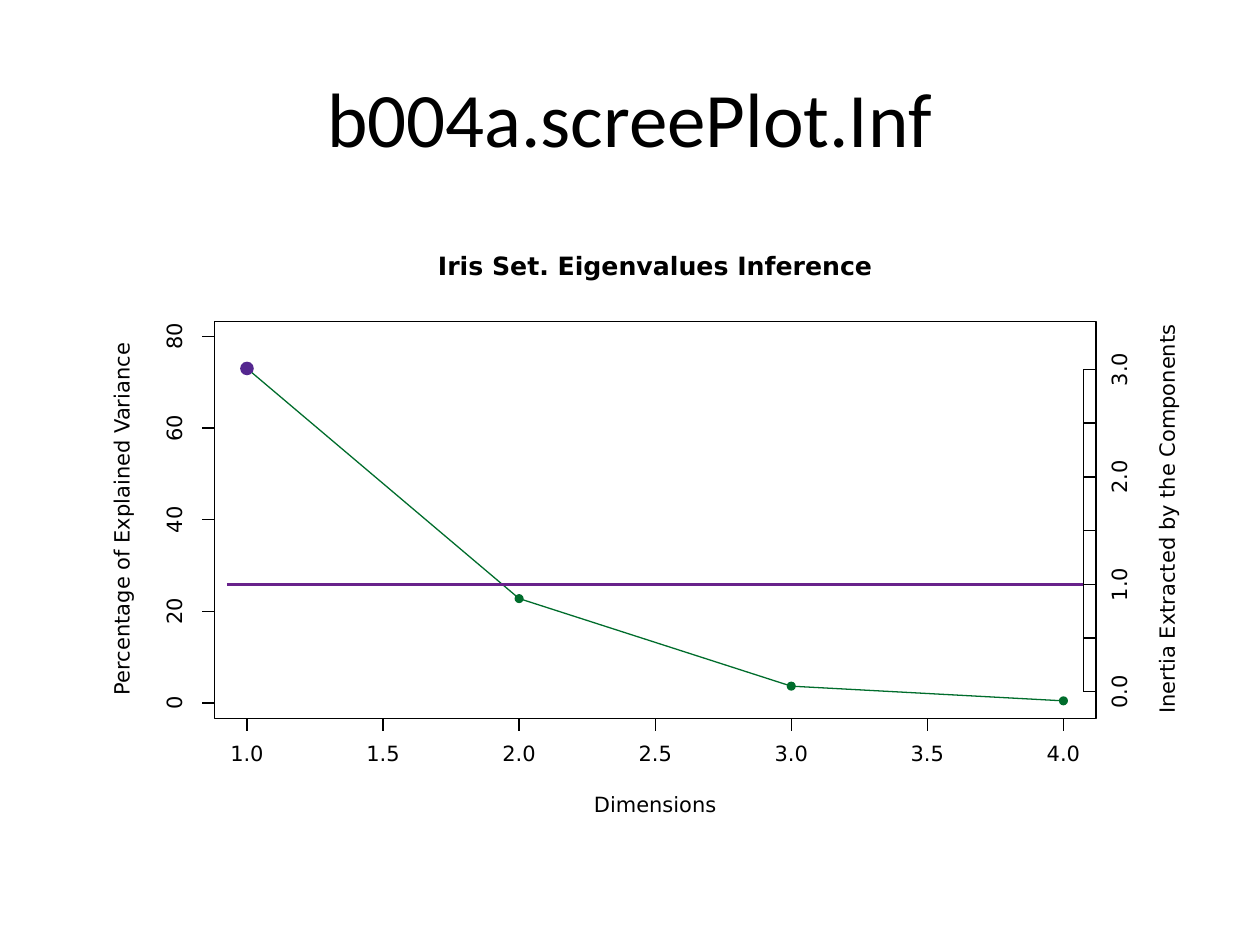
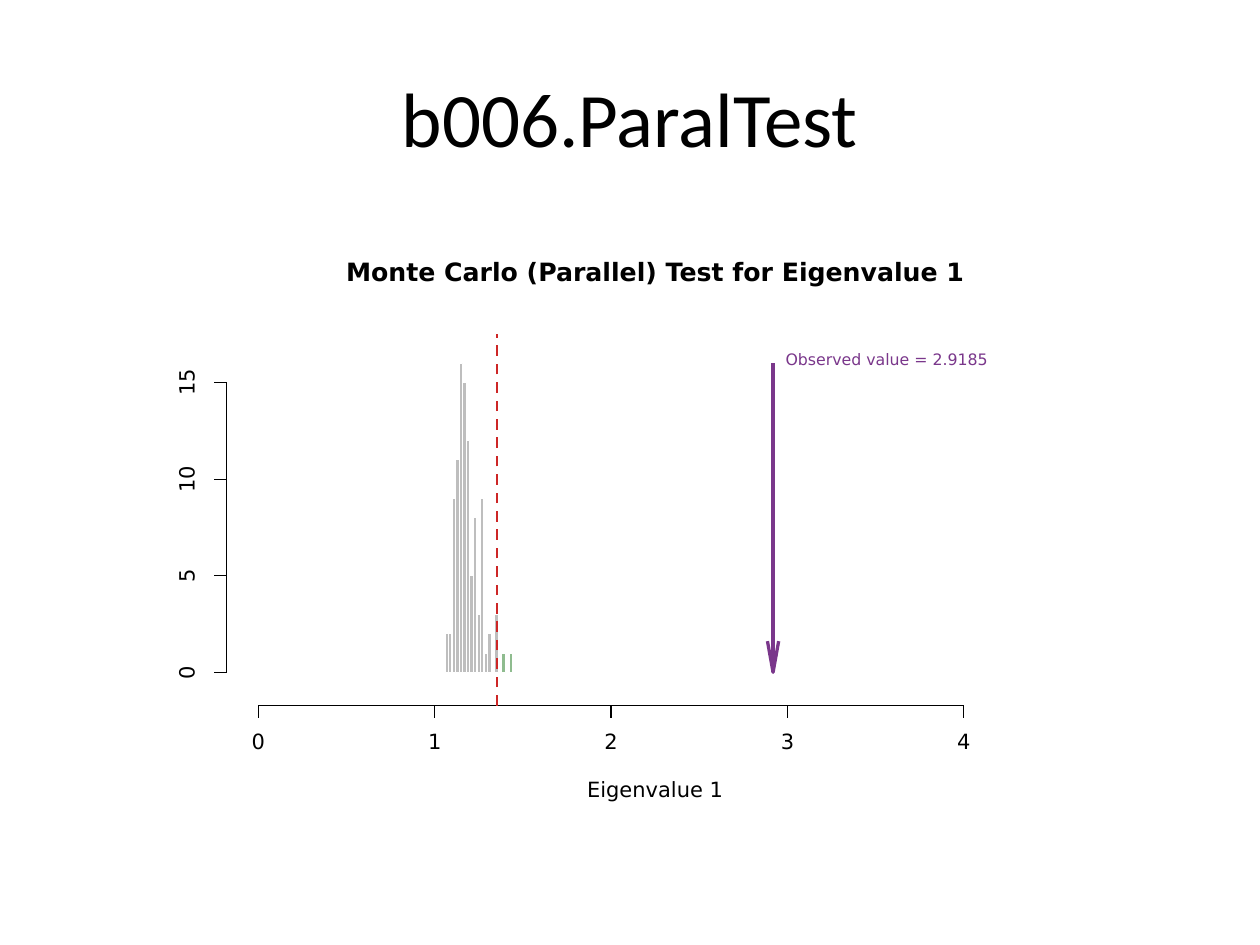
"""Two statistics slides: a scree plot and a Monte Carlo histogram."""
from lxml import etree
from pptx import Presentation
from pptx import util as u
from pptx.dml.color import RGBColor
from pptx.enum import dml, shapes, text

BLACK, WHITE = "000000", "FFFFFF"
GREEN, INDIGO, VIOLET = "006D2C", "54278F", "68228B"
GREY, SAGE, PURPLE, RED = "BEBEBE", "8FBC8F", "7A378B", "CD2626"
TICK = 7.2
CAPTION_X = 374.4
DRAWING = "http://schemas.openxmlformats.org/drawingml/2006/main"


def colour(value):
    """Turn a hex string into a colour."""
    return RGBColor.from_string(value)


def apply(target, **values):
    """Set several attributes of one object."""
    for name, value in values.items():
        setattr(target, name, value)


def scale(start, unit):
    """Return the rule that maps a data value to a position."""
    return lambda value: start + value * unit


def style_line(line, paint, width=0.75):
    """Give a line its colour and width."""
    line.color.rgb = colour(paint)
    line.width = u.Pt(width)


def add_text(page, words, centre, size, extent, paint=BLACK, font="DejaVu Sans",
             turn=0, bold=False, spacing=None):
    """Write one centred line of text around a point."""
    (x, y), (width, height) = centre, extent
    box = page.shapes.add_textbox(u.Pt(x - width / 2), u.Pt(y - height / 2),
                                  u.Pt(width), u.Pt(height))
    box.rotation = turn
    apply(box.text_frame, word_wrap=False, vertical_anchor=text.MSO_ANCHOR.MIDDLE,
          margin_left=0, margin_right=0, margin_top=0, margin_bottom=0)
    para = box.text_frame.paragraphs[0]
    para.alignment = text.PP_ALIGN.CENTER
    if spacing:
        para.line_spacing = u.Pt(spacing)
    span = para.add_run()
    span.text = words
    apply(span.font, name=font, size=u.Pt(size), bold=bold)
    span.font.color.rgb = colour(paint)


def add_label(page, words, centre, width, size=12, **values):
    """Write a plot label with exact line spacing."""
    add_text(page, words, centre, size, (width, 10), spacing=size, **values)


def add_line(page, start, end, paint=BLACK, width=0.75, dash=None):
    """Draw a straight line between two points."""
    ends = [u.Pt(number) for number in (*start, *end)]
    line = page.shapes.add_connector(shapes.MSO_CONNECTOR.STRAIGHT, *ends)
    style_line(line.line, paint, width)
    if dash:
        line.line.dash_style = dash
    etree.SubElement(line._element.spPr, f"{{{DRAWING}}}effectLst")


def add_polyline(page, points, paint, width=0.75):
    """Draw an open line through several points."""
    first, *others = [(u.Pt(x), u.Pt(y)) for x, y in points]
    builder = page.shapes.build_freeform(*first)
    builder.add_line_segments(others, close=False)
    shape = builder.convert_to_shape()
    shape.shadow.inherit = False
    shape.fill.background()
    style_line(shape.line, paint, width)


def add_area(page, kind, left, top, width, height, fill=None, outline=None):
    """Draw a preset shape; without a fill or outline that part is clear."""
    shape = page.shapes.add_shape(kind, u.Pt(left), u.Pt(top), u.Pt(width), u.Pt(height))
    shape.shadow.inherit = False
    if fill:
        shape.fill.solid()
        shape.fill.fore_color.rgb = colour(fill)
    else:
        shape.fill.background()
    if outline:
        style_line(shape.line, outline)
    else:
        shape.line.fill.background()


def add_dot(page, centre, size, paint):
    """Draw a round data point."""
    x, y = centre
    add_area(page, shapes.MSO_SHAPE.OVAL, x - size / 2, y - size / 2, size, size, paint)


def add_axis(page, place, labels, edge, tick, gap, upright=False):
    """Draw an axis line with ticks and labels; labels maps values to words."""
    def point(value, offset):
        along, across = place(value), edge + offset
        return (across, along) if upright else (along, across)

    values = list(labels)
    add_line(page, point(values[0], 0), point(values[-1], 0))
    for value, words in labels.items():
        add_line(page, point(value, 0), point(value, tick))
        if words:
            add_label(page, words, point(value, gap), 8 * len(words),
                      turn=270 if upright else 0)


def add_plot_page(deck, title, heading, heading_y, heading_width, x_name, x_name_y):
    """Start a slide with its title, plot panel, heading and x axis name."""
    page = deck.slides.add_slide(deck.slide_layouts[6])
    add_text(page, title, (360, 66.6), 44, (648, 90), font="Calibri")
    add_area(page, shapes.MSO_SHAPE.RECTANGLE, 36, 126, 648, 356.4, WHITE, WHITE)
    add_label(page, heading, (CAPTION_X, heading_y), heading_width, size=14.4, bold=True)
    add_label(page, x_name, (CAPTION_X, x_name_y), 78)
    return page


def build_scree_plot(deck):
    """Explained variance and inertia by dimension."""
    page = add_plot_page(deck, "b004a.screePlot.Inf", "Iris Set. Eigenvalues Inference",
                         152.9, 249, "Dimensions", 460.4)
    across, percent, inertia = scale(-14.4, 155.52), scale(401.8, -2.62), scale(395.3, -61.4)
    left, top, width, height = 122.4, 183.6, 504, 226.8
    right_axis = left + width - TICK

    variance = {1: 73, 2: 22.8, 3: 3.7, 4: 0.5}
    points = [(across(key), percent(value)) for key, value in variance.items()]
    add_polyline(page, points, GREEN)
    halves = [number / 2 for number in range(2, 9)]
    add_axis(page, across, {value: f"{value:.1f}" for value in halves},
             top + height, TICK, 21.3)
    add_axis(page, percent, {value: str(value) for value in range(0, 81, 20)},
             left, -TICK, -22, upright=True)
    add_area(page, shapes.MSO_SHAPE.RECTANGLE, left, top, width, height, outline=BLACK)
    add_label(page, "Percentage of Explained Variance", (70.5, 296.6), 204, turn=270)
    for point in points:
        add_dot(page, point, 5.2, GREEN)
    add_dot(page, points[0], 7.8, INDIGO)
    add_line(page, (left + TICK, inertia(1)), (right_axis, inertia(1)), VIOLET, 1.87)
    add_label(page, "Inertia Extracted by the Components", (667.8, 296.6), 224, turn=270)
    steps = [number / 2 for number in range(7)]
    add_axis(page, inertia, {step: "" if step % 1 else f"{step:.1f}" for step in steps},
             right_axis, TICK, 21.3, upright=True)


def build_parallel_test(deck):
    """Histogram of simulated eigenvalues beside the observed one."""
    page = add_plot_page(deck, "b006.ParalTest",
                         "Monte Carlo (Parallel) Test for Eigenvalue 1",
                         156.5, 356, "Eigenvalue 1", 452.2)
    across, count = scale(147.6, 100.8), scale(384.2, -11.04)
    base = 403.2
    add_axis(page, across, {value: str(value) for value in range(5)}, base, TICK, 21.3)
    add_axis(page, count, {value: str(value) for value in range(0, 16, 5)},
             129.6, -TICK, -22, upright=True)

    counts = [2, 2, 9, 11, 16, 15, 12, 5, 8, 3, 9, 1, 2, 0, 3, 0, 1, 0, 1]
    first_bar, bar_width, first_extreme = 254.3, 2.03, 15
    for index, number in enumerate(counts):
        add_area(page, shapes.MSO_SHAPE.RECTANGLE, first_bar + index * bar_width,
                 count(number), bar_width, count(0) - count(number),
                 SAGE if index >= first_extreme else GREY, WHITE)

    observed, foot = across(2.9185), count(0)
    add_line(page, (observed, count(16)), (observed, foot), PURPLE, 1.87)
    add_polyline(page, [(observed - 3.2, foot - 17.8), (observed, foot),
                        (observed + 3.2, foot - 17.8)], PURPLE, 1.87)
    add_label(page, "Observed value = 2.9185", (506.6, 206.3), 118, size=9, paint=PURPLE)
    limit = 284
    add_line(page, (limit, base), (limit, 190.8), RED, 1.5, dml.MSO_LINE.DASH)


def main():
    """Build and save the deck."""
    deck = Presentation()
    apply(deck, slide_width=u.Pt(720), slide_height=u.Pt(540))
    build_scree_plot(deck)
    build_parallel_test(deck)
    deck.save("out.pptx")


main()
